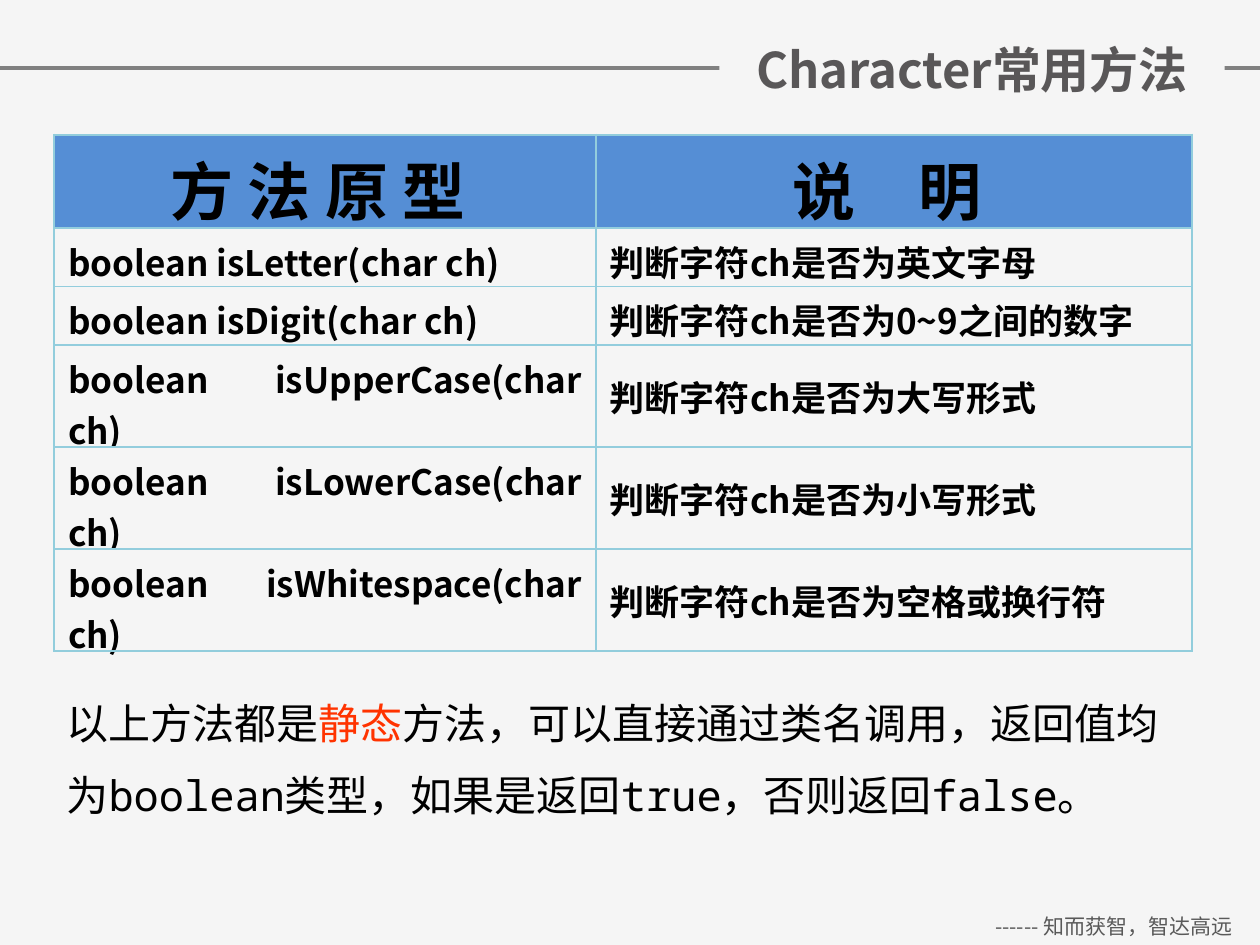
from lxml.etree import SubElement
from pptx import Presentation
from pptx.dml.color import RGBColor
from pptx.enum.text import MSO_ANCHOR as Anchor, PP_ALIGN as Align
from pptx.oxml.ns import qn
from pptx.util import Inches, Pt

# Content
TITLE = "Character常用方法"
FOOTER = "------ 知而获智，智达高远"
HEADER = ("方 法 原 型 ", "说　明 ")
METHODS = [
    ("boolean isLetter(char ch)", "判断字符ch是否为英文字母"),
    ("boolean isDigit(char ch)", "判断字符ch是否为0~9之间的数字"),
    ("boolean isUpperCase(char ch)", "判断字符ch是否为大写形式"),
    ("boolean isLowerCase(char ch)", "判断字符ch是否为小写形式"),
    ("boolean isWhitespace(char ch)", "判断字符ch是否为空格或换行符"),
]
NOTES = [
    [("以上方法都是", "000000"), ("静态", "FF3300"),
     ("方法，可以直接通过类名调用，返回值均", "000000")],
    [("为boolean类型，如果是返回true，否则返回false。", "000000")],
]

# Style
SANS, MONO = "Noto Sans CJK SC", "Noto Sans Mono"
BACKGROUND = "F5F5F5"
COL_WIDTHS = (4.3, 4.73)
ROW_HEIGHTS = (0.74, 0.46, 0.46, 0.81, 0.81, 0.81)
OUTER, INNER = ("92CDDC", 1.5), ("93CDDD", 1)


def rgb(value):
    return RGBColor.from_string(value)


def fill(item, color):
    item.fill.solid()
    item.fill.fore_color.rgb = rgb(color)


def style(p, size, color, bold=False, font=SANS, align=None):
    p.alignment = align
    p.font.size, p.font.bold, p.font.name = Pt(size), bold, font
    p.font.color.rgb = rgb(color)
    for r in p.runs:
        r.font.name = font
        SubElement(r._r.get_or_add_rPr(), qn("a:ea"), typeface=font)


def text_box(s, left, top, width, height):
    box = s.shapes.add_textbox(*map(Inches, (left, top, width, height)))
    box.text_frame.word_wrap = True
    return box.text_frame


def bottom_margin(i, j):
    """Let tall text run past the cell's lower edge so rows keep their height."""
    if i == 0:
        return -0.05
    if ROW_HEIGHTS[i] > 0.5:
        return 0.06 if j else -0.06
    return 0


def set_borders(cell, edges):
    tc_pr = cell._tc.get_or_add_tcPr()
    for i, (side, (color, width)) in enumerate(edges.items()):
        ln = SubElement(tc_pr, qn(f"a:ln{side}"), w=str(Pt(width)))
        solid = SubElement(ln, qn("a:solidFill"))
        SubElement(solid, qn("a:srgbClr"), val=color)
        tc_pr.insert(i, ln)  # borders come before the fill


prs = Presentation()
prs.slide_width, prs.slide_height = Inches(10), Inches(7.5)
s = prs.slides.add_slide(prs.slide_layouts[5])
fill(s.background, BACKGROUND)

# Title over a full-width rule
rule = s.shapes.add_connector(1, 0, Inches(0.54), Inches(10), Inches(0.54))
rule.line.color.rgb, rule.line.width = rgb("808080"), Pt(2)
SubElement(rule._element.spPr, qn("a:effectLst"))

title = s.shapes.title
title.left, title.top, title.width, title.height = map(
    Inches, (5.71, 0.03, 4.01, 1.04))
fill(title, BACKGROUND)
tf = title.text_frame
tf.text, tf.vertical_anchor = TITLE, Anchor.MIDDLE
style(tf.paragraphs[0], 28, "595758", True, align=Align.CENTER)
s.shapes._spTree.append(title._element)  # bring in front of the rule

# Method table
rows = [HEADER] + METHODS
table = s.shapes.add_table(
    len(rows), len(COL_WIDTHS), Inches(0.43), Inches(1.07),
    Inches(sum(COL_WIDTHS)), Inches(sum(ROW_HEIGHTS))).table
for column, width in zip(table.columns, COL_WIDTHS):
    column.width = Inches(width)
for row, height in zip(table.rows, ROW_HEIGHTS):
    row.height = Inches(height)

for i, row in enumerate(rows):
    for j, text in enumerate(row):
        cell = table.cell(i, j)
        cell.text, cell.vertical_anchor = text, Anchor.MIDDLE
        cell.margin_left = cell.margin_right = Inches(0.11)
        cell.margin_top = Inches(0.06)
        cell.margin_bottom = Inches(bottom_margin(i, j))
        fill(cell, BACKGROUND if i else "558ED5")
        style(cell.text_frame.paragraphs[0], 20 if i else 36, "000000", True,
              align=Align.JUSTIFY if i else Align.CENTER)
        set_borders(cell, {
            "L": OUTER if j == 0 else INNER,
            "R": OUTER if j == len(row) - 1 else INNER,
            "T": OUTER if i == 0 else INNER,
            "B": OUTER if i == len(rows) - 1 else INNER,
        })

# Notes under the table
tf = text_box(s, 0.43, 5.49, 9.03, 1.11)
for i, parts in enumerate(NOTES):
    p = tf.add_paragraph() if i else tf.paragraphs[0]
    p_pr = p._p.get_or_add_pPr()
    p_pr.set("marL", str(Inches(0.38)))
    p_pr.set("indent", str(-Inches(0.38)))
    if i:
        p.space_before = Pt(12)
    for text, color in parts:
        r = p.add_run()
        r.text = text
        r.font.color.rgb = rgb(color)
    style(p, 24, "000000", font=MONO)

# Footer
tf = text_box(s, 7.68, 7.2, 2.32, 0.3)
tf.text = FOOTER
style(tf.paragraphs[0], 12, "595959", align=Align.CENTER)

prs.save("out.pptx")
